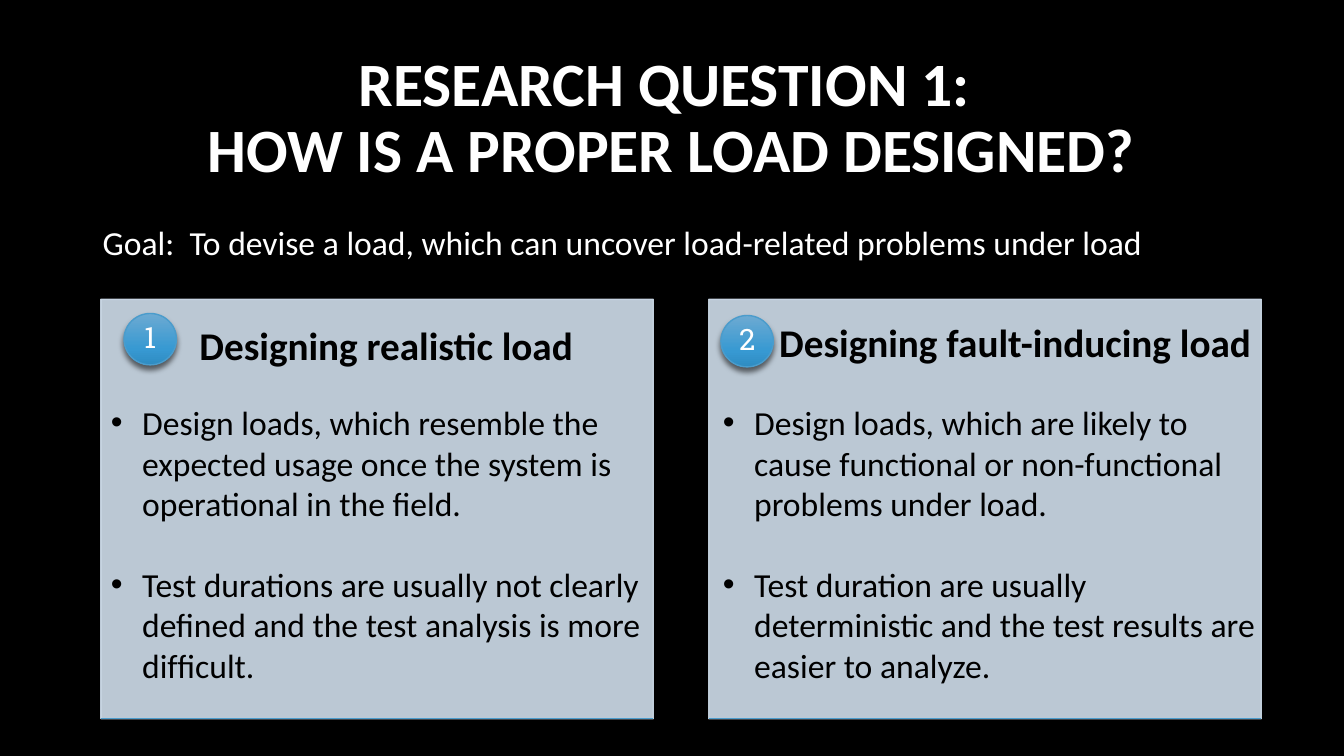
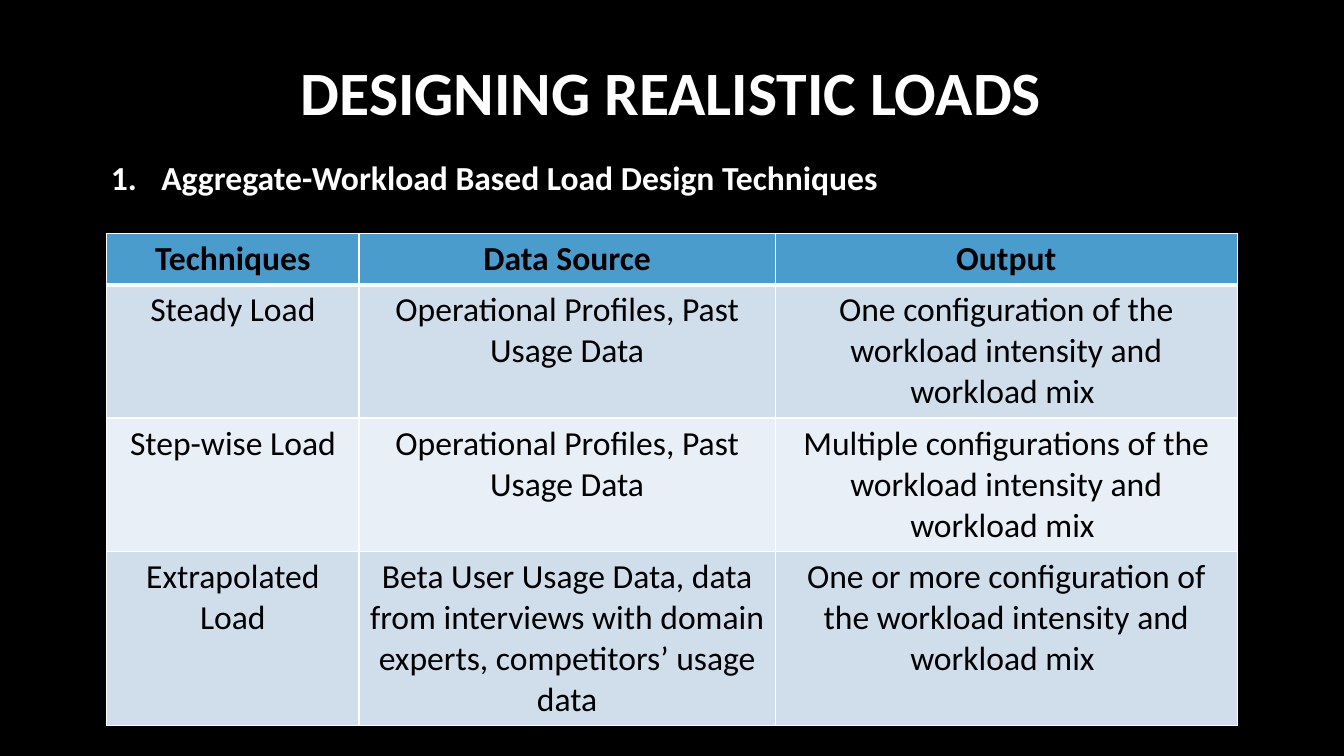
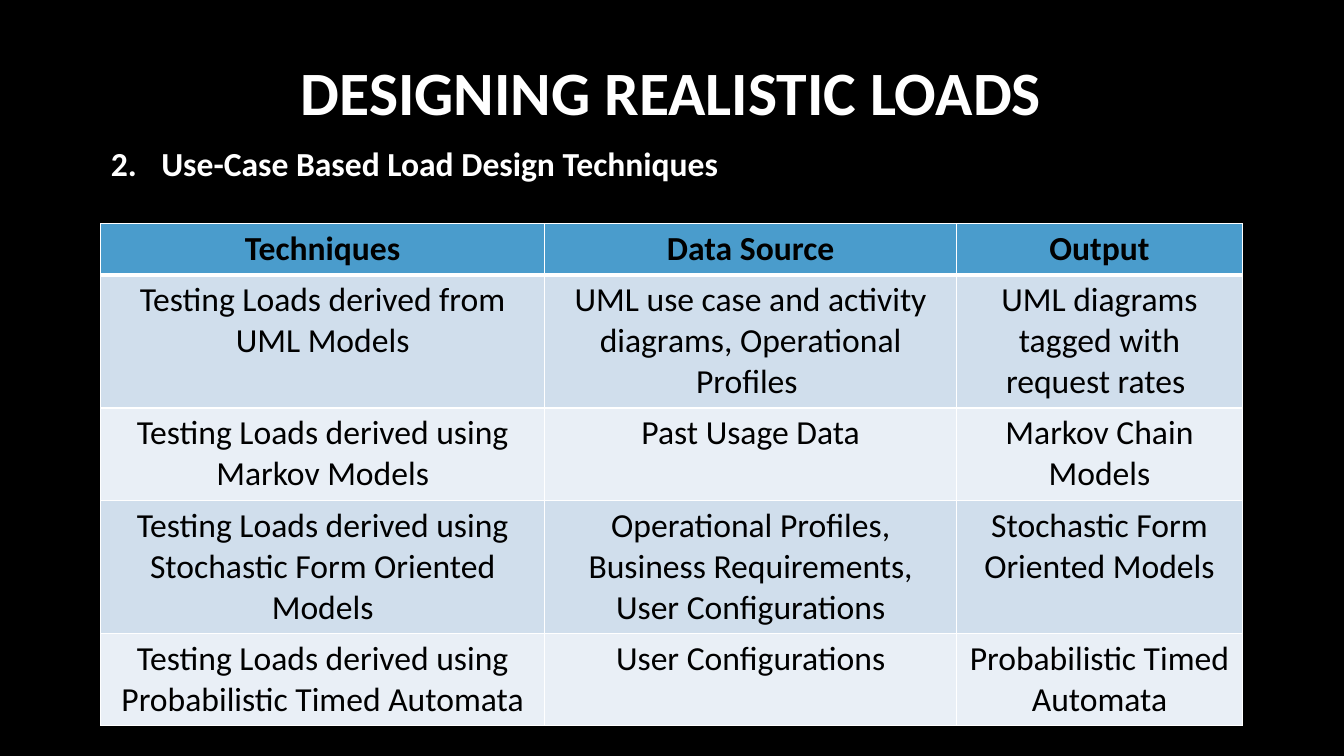
import pptx
import pptx.util
import pptx.dml.color
import pptx.enum.shapes
import pptx.enum.text
import pptx.oxml.ns

Inch = pptx.util.Inches
Pt = pptx.util.Pt
RGB = pptx.dml.color.RGBColor
Shape = pptx.enum.shapes.MSO_SHAPE
Align = pptx.enum.text.PP_ALIGN
Anchor = pptx.enum.text.MSO_ANCHOR
Auto = pptx.enum.text.MSO_AUTO_SIZE
qn = pptx.oxml.ns.qn

# Shared look
BLACK = RGB(0x00, 0x00, 0x00)
WHITE = RGB(0xFF, 0xFF, 0xFF)
BLUE = RGB(0x4A, 0x9C, 0xCC)
PALE = RGB(0xD0, 0xDE, 0xEC)
LIGHT = RGB(0xE9, 0xEF, 0xF6)
GLOSS = [(0, "6DAAD2"), (69, "3799D2"), (100, "2F8CC2")]
FONT = "Calibri"
LEFT, WIDE = 1, 11.32
CARD_TOP, CARD_W, CARD_H, CARD_STEP = 2.97, 5.48, 4.16, 6.03
LINE, PAD = 0.4, 0.1  # table row height: lines of text plus margins

# Content
GOAL = "Goal:  To devise a load, which can uncover load-related problems under load"
CARDS = [
    dict(head="Designing realistic load", head_at=(0.88, 0.17),
         dot_at=(0.23, 0.14), list_at=(0, 5.54), items=[
             "Design loads, which resemble the expected usage once the system is operational in the ﬁeld.",
             "Test durations are usually not clearly deﬁned and the test analysis is more difﬁcult."]),
    dict(head="Designing fault-inducing load", head_at=(0.6, 0.14),
         dot_at=(0.12, 0.16), list_at=(0.04, 5.62), items=[
             "Design loads, which are likely to cause functional or non-functional problems under load.",
             "Test duration are usually deterministic and the test results are easier to analyze."]),
]
HEADS = ("Techniques", "Data Source", "Output")
TABLES = [
    dict(topic="Aggregate-Workload Based Load Design Techniques",
         topic_at=(1.43, 11.63), at=(1.06, 2.32),
         cols=(2.5, 4.13, 4.58), lines=(1, 3, 3, 4), rows=[
             ("Steady Load", "Operational Profiles, Past Usage Data",
              "One conﬁguration of the workload intensity and workload mix "),
             ("Step-wise Load", "Operational Profiles, Past Usage Data",
              "Multiple conﬁgurations of the workload intensity and workload mix "),
             ("Extrapolated Load",
              "Beta User Usage Data, data from interviews with domain experts, competitors’ usage data",
              "One or more conﬁguration of the workload intensity and workload mix ")]),
    dict(topic="Use-Case Based Load Design Techniques",
         topic_at=(1.29, 11.52), at=(1, 2.22),
         cols=(4.4, 4.09, 2.83), lines=(1, 3, 2, 3, 2), rows=[
             ("Testing Loads derived from UML Models",
              "UML use case and activity diagrams, Operational Profiles ",
              "UML diagrams tagged with request rates "),
             ("Testing Loads derived using Markov Models",
              "Past Usage Data", "Markov Chain Models"),
             ("Testing Loads derived using Stochastic Form Oriented Models",
              "Operational Profiles, Business Requirements, User Configurations",
              "Stochastic Form Oriented Models"),
             ("Testing Loads derived using Probabilistic Timed Automata",
              "User Configurations", "Probabilistic Timed Automata")]),
]


# Helpers
def add(node, tag, **attrs):
    kid = node.makeelement(qn(tag), {k: str(v) for k, v in attrs.items()})
    node.append(kid)
    return kid


def style(para, size, color, bold=False, align=Align.LEFT, font=FONT):
    para.alignment = align
    for run in para.runs:
        run.font.name, run.font.size = font, Pt(size)
        run.font.bold, run.font.color.rgb = bold, color


def place(shape, x, y, w, h):
    shape.left, shape.top = Inch(x), Inch(y)
    shape.width, shape.height = Inch(w), Inch(h)
    shape.text_frame.auto_size = Auto.NONE
    shape.text_frame.word_wrap = True


def bullet(para, indent, tag, **attrs):
    props = para._p.get_or_add_pPr()
    props.set("marL", str(Inch(indent)))
    props.set("indent", str(-Inch(indent)))
    add(props, tag, **attrs)


def start(deck, layout, text, top):
    slide = deck.slides.add_slide(deck.slide_layouts[layout])
    title = slide.shapes.title
    place(title, LEFT, top, WIDE, 1.45)
    title.text_frame.text = text
    title.text_frame.vertical_anchor = Anchor.MIDDLE
    para = title.text_frame.paragraphs[0]
    para.line_spacing = 0.9
    style(para, 44, WHITE, True, Align.CENTER)
    return slide


def label(slide, text, x, y, w, h, size, color, bold=False):
    box = slide.shapes.add_textbox(0, 0, 0, 0)
    place(box, x, y, w, h)
    box.text_frame.text = text
    style(box.text_frame.paragraphs[0], size, color, bold)


def panel(slide, x):
    card = slide.shapes.add_shape(
        Shape.RECTANGLE, Inch(x), Inch(CARD_TOP), Inch(CARD_W), Inch(CARD_H))
    card.shadow.inherit = False
    card.fill.solid()
    card.fill.fore_color.rgb = card.line.color.rgb = PALE
    card.line.width = Pt(1)
    for color in card.element.spPr.iter(qn("a:srgbClr")):
        add(color, "a:alpha", val=90000)
    base = CARD_TOP + CARD_H
    edge = slide.shapes.add_connector(
        pptx.enum.shapes.MSO_CONNECTOR.STRAIGHT,
        Inch(x), Inch(base), Inch(x + CARD_W), Inch(base))
    edge.line.color.rgb, edge.line.width = BLUE, Pt(1)
    add(edge.element.spPr, "a:effectLst")


def badge(slide, num, x, y):
    dot = slide.shapes.add_shape(
        Shape.OVAL, Inch(x), Inch(y), Inch(0.52), Inch(0.51))
    # Glossy fill
    dot.fill.gradient()
    dot.fill.gradient_angle = 270
    stops = dot.element.spPr.find(".//" + qn("a:gsLst"))
    for old in list(stops):
        stops.remove(old)
    for pos, color in GLOSS:
        add(add(stops, "a:gs", pos=pos * 1000), "a:srgbClr", val=color)
    dot.line.color.rgb, dot.line.width = BLUE, Pt(1)
    # Soft shadow below
    dot.shadow.inherit = False
    glow = add(dot.element.spPr.find(qn("a:effectLst")), "a:outerShdw",
               blurRad=Pt(4), dist=Pt(3), dir=5400000, rotWithShape=0)
    add(add(glow, "a:srgbClr", val="000000"), "a:alpha", val=54000)
    # Number
    frame = dot.text_frame
    frame.margin_left = frame.margin_right = 0
    frame.margin_top = frame.margin_bottom = Inch(0.01)
    frame.vertical_anchor = Anchor.MIDDLE
    frame.text = str(num)
    frame.paragraphs[0].line_spacing = 0.9
    style(frame.paragraphs[0], 21, WHITE, align=Align.CENTER, font="Roboto Slab")


def points(slide, box, items, x, w):
    place(box, x, 3.94, w, 2.93)
    slide.shapes.element.append(box.element)  # bring in front of its card
    box.text_frame.text = "\n".join(items)
    for i, para in enumerate(box.text_frame.paragraphs):
        para.space_before = Pt(29 if i else 0)
        para.line_spacing = 1.0
        bullet(para, 0.31, "a:buChar", char="•")
        style(para, 24, BLACK)


def border(cell, sides):
    props = cell._tc.get_or_add_tcPr()
    for side in "LRTB":
        line = add(props, "a:ln" + side, w=Pt(sides.get(side, 1)))
        add(add(line, "a:solidFill"), "a:srgbClr", val=str(WHITE))


def grid(slide, data):
    rows = [HEADS] + data["rows"]
    high = [PAD + LINE * n for n in data["lines"]]
    x, y = data["at"]
    table = slide.shapes.add_table(
        len(rows), len(HEADS), Inch(x), Inch(y),
        Inch(sum(data["cols"])), Inch(sum(high))).table
    for col, w in zip(table.columns, data["cols"]):
        col.width = Inch(w)
    for r, texts in enumerate(rows):
        table.rows[r].height = Inch(high[r])
        for c, text in enumerate(texts):
            cell = table.cell(r, c)
            border(cell, {0: {"B": 3}, 1: {"T": 3}}.get(r, {}))
            cell.fill.solid()
            cell.fill.fore_color.rgb = BLUE if r == 0 else PALE if r % 2 else LIGHT
            cell.text_frame.text = text
            style(cell.text_frame.paragraphs[0], 24, BLACK, r == 0, Align.CENTER)


# Slides
def question(deck):
    slide = start(deck, 3, "RESEARCH QUESTION 1: \vHOW IS A PROPER LOAD DESIGNED?", 0.46)
    label(slide, GOAL, 0.92, 2.15, 11.4, 0.5, 24, WHITE)
    for i, card in enumerate(CARDS):
        x = LEFT + i * CARD_STEP
        panel(slide, x)
        dx, dy = card["dot_at"]
        badge(slide, i + 1, x + dx, CARD_TOP + dy)
        dx, dy = card["head_at"]
        label(slide, card["head"], x + dx, CARD_TOP + dy, 5.06, 0.57, 28, BLACK, True)
        dx, w = card["list_at"]
        points(slide, slide.placeholders[i + 1], card["items"], x + dx, w)


def methods(deck, num, data):
    slide = start(deck, 1, " DESIGNING REALISTIC LOADS ", 0.22)
    body = slide.placeholders[1]
    top, w = data["topic_at"]
    place(body, LEFT, top, w, 5.4)
    body.text_frame.text = data["topic"]
    para = body.text_frame.paragraphs[0]
    para.line_spacing, para.space_before = 1.2, Pt(10)
    bullet(para, 0.5, "a:buAutoNum", type="arabicPeriod", startAt=num)
    style(para, 24, WHITE, True)
    grid(slide, data)


def main():
    deck = pptx.Presentation()
    deck.slide_width, deck.slide_height = Inch(13.33), Inch(7.5)
    back = deck.slide_master.background.fill
    back.solid()
    back.fore_color.rgb = BLACK
    question(deck)
    for num, data in enumerate(TABLES, 1):
        methods(deck, num, data)
    deck.save("out.pptx")


if __name__ == "__main__":
    main()
